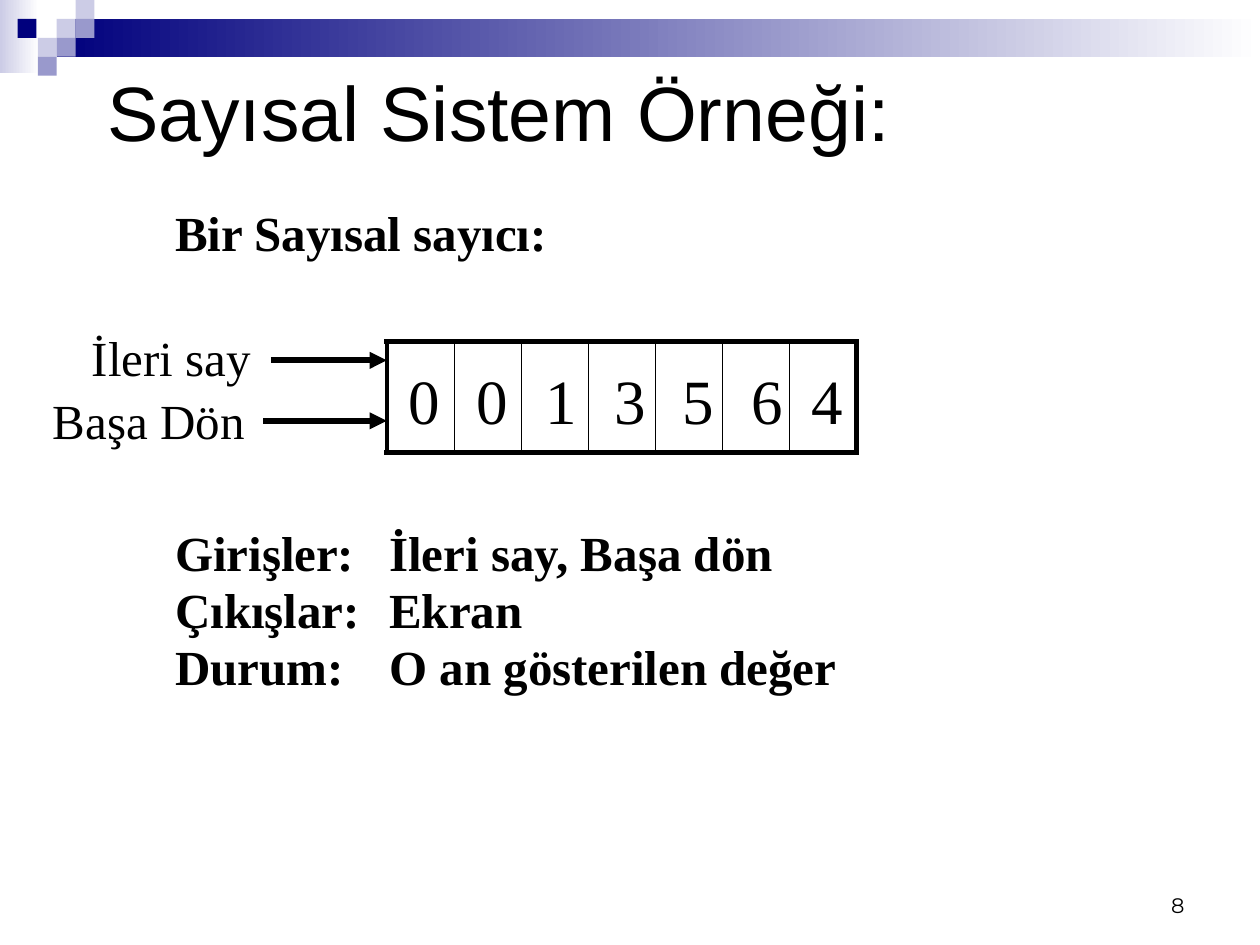
from lxml.etree import SubElement
from pptx import Presentation
from pptx.dml.color import RGBColor
from pptx.enum.shapes import MSO_CONNECTOR, MSO_SHAPE
from pptx.enum.text import MSO_ANCHOR, MSO_AUTO_SIZE, PP_ALIGN
from pptx.oxml.ns import qn
from pptx.util import Inches, Pt

COLORS = {
    "black": "000000",
    "white": "FFFFFF",
    "navy": "00007D",
    "violet": "9999CC",
    "lilac": "CCCCE6",
}
SERIF = "Times New Roman"
TILE = 0.15
# Decorative tiles as (column, row, color) on a grid of TILE inches
TILES = [
    (3, 1, "lilac"), (4, 0, "lilac"), (4, 1, "violet"), (2, 2, "lilac"),
    (0.93, 1, "navy"), (3, 2, "violet"), (2, 3, "violet"),
]
DIGITS = "0013564"
DISPLAY_LEFT, DISPLAY_TOP, DISPLAY_HEIGHT = 3.07, 2.71, 0.88
CELL_WIDTH = 3.73 / len(DIGITS)
DIGIT_LEFT, DIGIT_PITCH, LAST_DIGIT_LEFT = 3.24, 0.545, 6.44
TERM_LEFT, VALUE_LEFT = 1.39, 3.09
LINE_HEIGHT = 0.47
# Each input as (label, label left, label top, label width, arrow left, arrow y)
INPUTS = [
    ("İleri say", 0.73, 2.6, 1.27, 2.15, 2.86),
    ("Başa Dön", 0.42, 3.1, 1.54, 2.09, 3.34),
]
# Each definition as (term, term width, value, value width)
DEFINITIONS = [
    ("Girişler:", 1.44, "İleri say, Başa dön", 3.41),
    ("Çıkışlar:", 1.48, "Ekran", 1.07),
    ("Durum:", 1.36, "O an gösterilen değer", 4.32),
]


def rgb(name):
    return RGBColor.from_string(COLORS[name])


def box(left, top, width, height):
    return [Inches(length) for length in (left, top, width, height)]


def set_font(paragraph, size, name, bold=False):
    font = paragraph.font
    font.size, font.name, font.bold = Pt(size), name, bold
    font.color.rgb = rgb("black")


def add_block(slide, position, color, fade=False):
    """Add a borderless rectangle, plain or fading to white on the right."""
    shape = slide.shapes.add_shape(MSO_SHAPE.RECTANGLE, *box(*position))
    shape.shadow.inherit = False
    shape.line.fill.background()
    if fade:
        shape.fill.gradient()
        shape.fill.gradient_angle = 0
        for stop, name, place in zip(shape.fill.gradient_stops, (color, "white"), (0, 1)):
            stop.color.rgb = rgb(name)
            stop.position = place
    else:
        shape.fill.solid()
        shape.fill.fore_color.rgb = rgb(color)


def add_banner(slide):
    add_block(slide, (0, 0, 0.31, 0.58), "lilac", fade=True)
    add_block(slide, (3 * TILE, TILE, 10 - 3 * TILE, 2 * TILE), "navy", fade=True)
    for column, row, color in TILES:
        add_block(slide, (column * TILE, row * TILE, TILE, TILE), color)


def add_title(slide, text):
    title = slide.shapes.title
    title.left, title.top, title.width, title.height = box(0.75, 0.25, 8.5, 1.25)
    frame = title.text_frame
    frame.text = text
    frame.auto_size = MSO_AUTO_SIZE.NONE
    frame.vertical_anchor = MSO_ANCHOR.MIDDLE
    frame.paragraphs[0].alignment = PP_ALIGN.LEFT
    set_font(frame.paragraphs[0], 44, "Arial")


def add_label(slide, text, position, size=28, bold=False, anchor=MSO_ANCHOR.TOP):
    frame = slide.shapes.add_textbox(*box(*position)).text_frame
    frame.margin_left = frame.margin_top = frame.margin_right = frame.margin_bottom = 0
    frame.word_wrap = False
    frame.auto_size = MSO_AUTO_SIZE.SHAPE_TO_FIT_TEXT
    frame.vertical_anchor = anchor
    paragraph = frame.paragraphs[0]
    paragraph.text = text
    paragraph.alignment = PP_ALIGN.LEFT
    paragraph.space_before = Pt(3)
    set_font(paragraph, size, SERIF, bold)


def set_borders(cell, widths):
    """Draw the left, right, top and bottom borders with widths in points."""
    properties = cell._tc.get_or_add_tcPr()
    for index, (side, width) in enumerate(zip(("lnL", "lnR", "lnT", "lnB"), widths)):
        line = properties.makeelement(qn(f"a:{side}"), {"w": str(Pt(width))})
        properties.insert(index, line)
        fill = SubElement(line, qn("a:solidFill"))
        SubElement(fill, qn("a:srgbClr"), val=COLORS["black"])


def add_display(slide):
    """Add the row of counter cells and the digits they show."""
    count = len(DIGITS)
    position = box(DISPLAY_LEFT, DISPLAY_TOP, count * CELL_WIDTH, DISPLAY_HEIGHT)
    table = slide.shapes.add_table(1, count, *position).table
    table.first_row = table.horz_banding = False
    for column, digit in enumerate(DIGITS):
        table.columns[column].width = Inches(CELL_WIDTH)
        cell = table.cell(0, column)
        cell.fill.background()
        left = 3 if column == 0 else 0.5
        right = 3 if column == count - 1 else 0.5
        set_borders(cell, (left, right, 3, 3))
        digit_left = min(DIGIT_LEFT + column * DIGIT_PITCH, LAST_DIGIT_LEFT)
        add_label(slide, digit, (digit_left, 2.87, 0.25, 0.6), 36, anchor=MSO_ANCHOR.MIDDLE)


def add_arrow(slide, left, right, y):
    ends = [Inches(length) for length in (left, y, right, y)]
    arrow = slide.shapes.add_connector(MSO_CONNECTOR.STRAIGHT, *ends)
    arrow.line.width = Pt(3.25)
    arrow.line.color.rgb = rgb("black")
    SubElement(arrow.line._get_or_add_ln(), qn("a:tailEnd"), type="triangle")
    SubElement(arrow._element.spPr, qn("a:effectLst"))


def add_slide_number(slide, number):
    frame = slide.shapes.add_textbox(*box(7.17, 6.83, 2.33, 0.5)).text_frame
    frame.word_wrap = True
    frame.vertical_anchor = MSO_ANCHOR.BOTTOM
    paragraph = frame.paragraphs[0]
    paragraph.text = number
    paragraph.alignment = PP_ALIGN.RIGHT
    set_font(paragraph, 12, "Montserrat")


def main():
    presentation = Presentation()
    presentation.slide_width, presentation.slide_height = Inches(10), Inches(7.5)
    slide = presentation.slides.add_slide(presentation.slide_layouts[5])

    add_banner(slide)
    add_title(slide, "Sayısal Sistem Örneği:")
    add_label(slide, "Bir Sayısal sayıcı:", (TERM_LEFT, 1.61, 2.98, LINE_HEIGHT), bold=True)
    add_display(slide)
    for text, left, top, width, arrow_left, arrow_y in INPUTS:
        add_label(slide, text, (left, top, width, LINE_HEIGHT))
        add_arrow(slide, arrow_left, DISPLAY_LEFT, arrow_y)
    for row, (term, term_width, value, value_width) in enumerate(DEFINITIONS):
        top = 4.15 + row * 0.45
        add_label(slide, term, (TERM_LEFT, top, term_width, LINE_HEIGHT), bold=True)
        add_label(slide, value, (VALUE_LEFT, top, value_width, LINE_HEIGHT), bold=True)
    add_slide_number(slide, "8")

    presentation.save("out.pptx")


if __name__ == "__main__":
    main()
